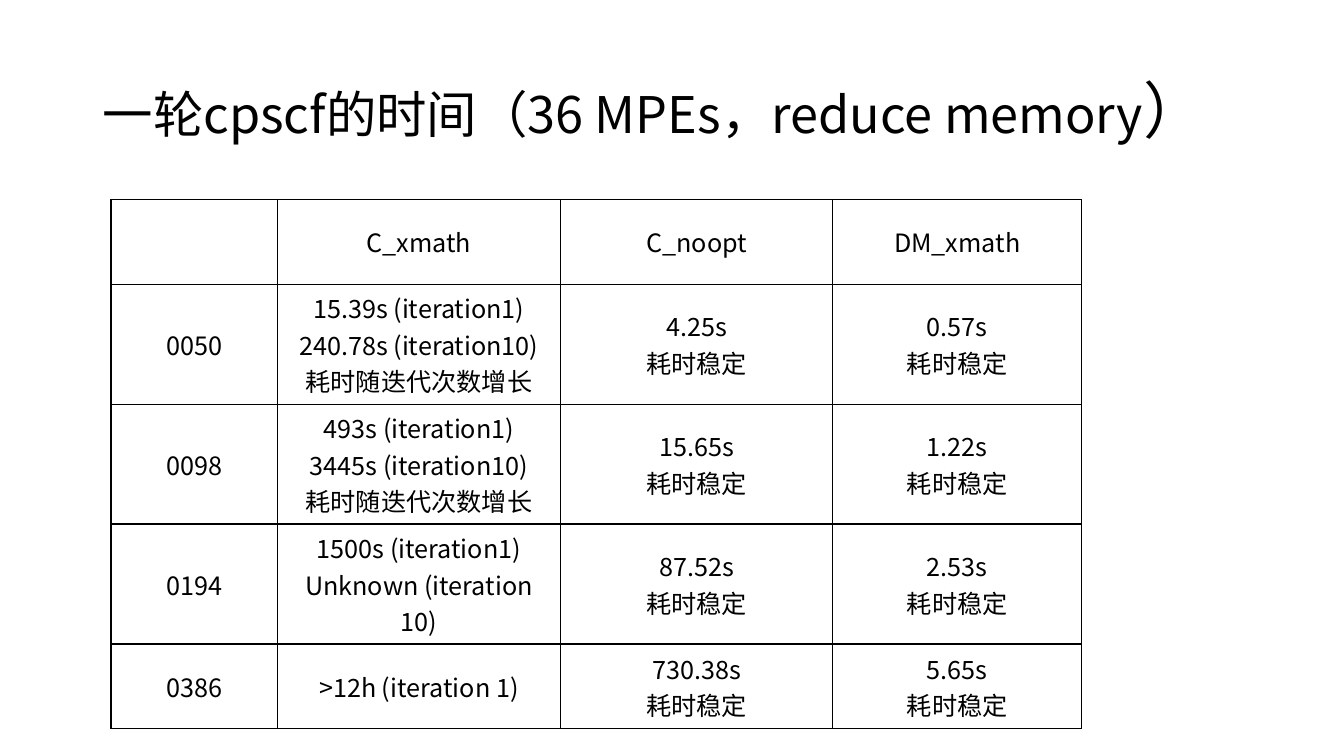
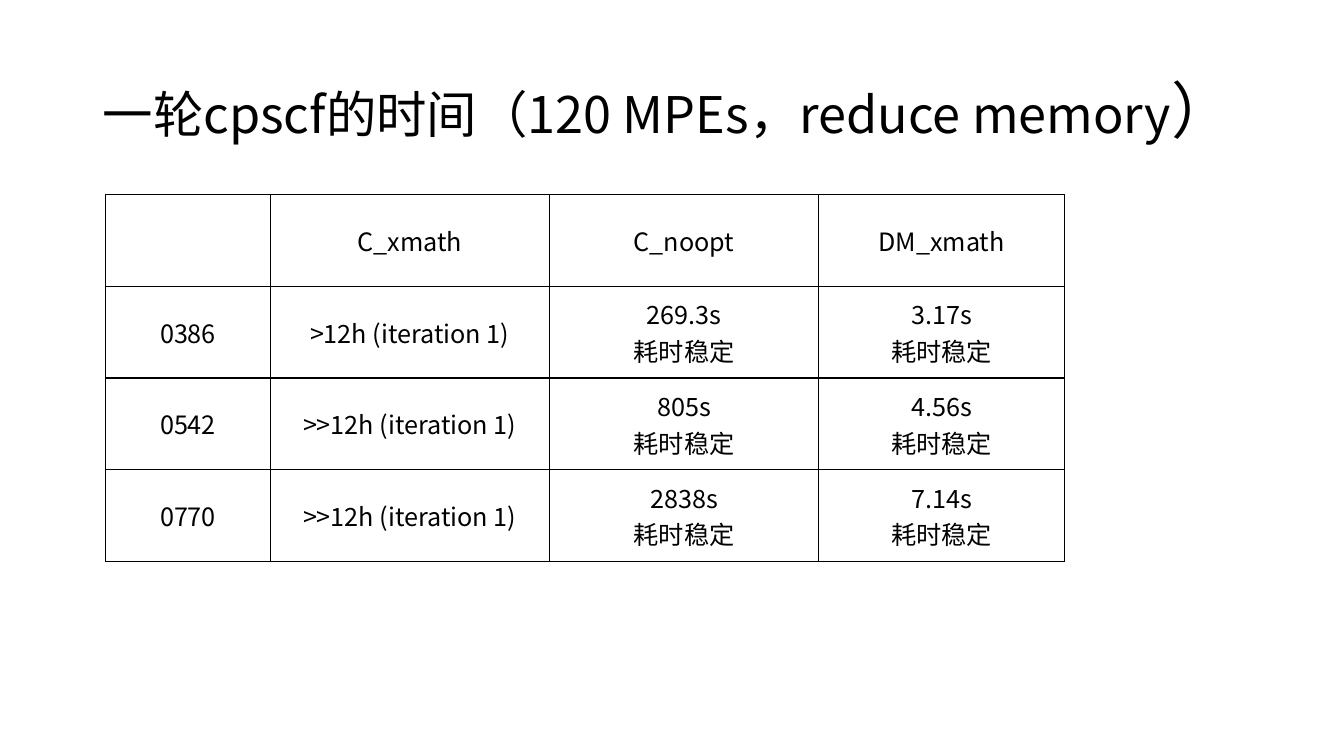
"""Build two slides that tabulate the time of one cpscf round."""
import lxml.etree
import pptx
import pptx.dml.color
import pptx.enum.text
import pptx.oxml.ns
import pptx.util

Inches, Pt, qn = pptx.util.Inches, pptx.util.Pt, pptx.oxml.ns.qn
BLACK = pptx.dml.color.RGBColor(0, 0, 0)
WHITE = pptx.dml.color.RGBColor(255, 255, 255)
FONT = "Noto Sans CJK SC"
MIDDLE = pptx.enum.text.MSO_ANCHOR.MIDDLE
CENTER = pptx.enum.text.PP_ALIGN.CENTER
STEADY = "耗时稳定"
GROWING = "耗时随迭代次数增长"
HEADINGS = ("", "C_xmath", "C_noopt", "DM_xmath")


def add_run(paragraph, text, size):
    run = paragraph.add_run()
    run.text = text
    run.font.size = Pt(size)
    run.font.name = FONT
    run.font.color.rgb = BLACK
    east_asian = lxml.etree.SubElement(run.font._element, qn("a:ea"))
    east_asian.set("typeface", FONT)


def add_borders(cell):
    properties = cell._tc.get_or_add_tcPr()
    for side in ("L", "R", "T", "B"):
        border = lxml.etree.SubElement(properties, qn("a:ln" + side), w=str(Pt(1)))
        fill = lxml.etree.SubElement(border, qn("a:solidFill"))
        lxml.etree.SubElement(fill, qn("a:srgbClr"), val=str(BLACK))


rounds = [
    {
        "processors": 36,
        "corner": (1.1, 1.98),
        "columns": (1.65, 2.81, 2.7, 2.47),
        "rows": (0.84, 1.19, 1.19, 1.19, 0.84),
        "timings": [
            ("0050", f"15.39s (iteration1)\n240.78s (iteration10)\n{GROWING}", "4.25s", "0.57s"),
            ("0098", f"493s (iteration1)\n3445s (iteration10)\n{GROWING}", "15.65s", "1.22s"),
            ("0194", "1500s (iteration1)\nUnknown (iteration 10)", "87.52s", "2.53s"),
            ("0386", ">12h (iteration 1)", "730.38s", "5.65s"),
        ],
    },
    {
        "processors": 120,
        "corner": (1.05, 1.93),
        "columns": (1.63, 2.77, 2.67, 2.44),
        "rows": (0.91,) * 4,
        "timings": [
            ("0386", ">12h (iteration 1)", "269.3s", "3.17s"),
            ("0542", ">>12h (iteration 1)", "805s", "4.56s"),
            ("0770", ">>12h (iteration 1)", "2838s", "7.14s"),
        ],
    },
]

deck = pptx.Presentation()
deck.slide_width, deck.slide_height = Inches(13.33), Inches(7.5)

for timing_round in rounds:
    slide = deck.slides.add_slide(deck.slide_layouts[6])
    slide.background.fill.solid()
    slide.background.fill.fore_color.rgb = WHITE

    title = slide.shapes.add_textbox(Inches(0.92), Inches(0.4), Inches(11.5), Inches(1.45)).text_frame
    title.word_wrap = True
    title.vertical_anchor = MIDDLE
    heading = title.paragraphs[0]
    heading.line_spacing = 0.9
    add_run(heading, f"一轮cpscf的时间（{timing_round['processors']} MPEs，reduce memory", 36)
    add_run(heading, "）", 44)

    widths, heights = timing_round["columns"], timing_round["rows"]
    left, top = timing_round["corner"]
    table = slide.shapes.add_table(
        len(heights), len(widths), Inches(left), Inches(top), Inches(sum(widths)), Inches(sum(heights))
    ).table
    table.first_row = table.horz_banding = False
    for column, width in zip(table.columns, widths):
        column.width = Inches(width)
    for row, height in zip(table.rows, heights):
        row.height = Inches(height)

    steady_timings = [
        (case, xmath, f"{noopt}\n{STEADY}", f"{dm_xmath}\n{STEADY}")
        for case, xmath, noopt, dm_xmath in timing_round["timings"]
    ]
    for row, entries in zip(table.rows, [HEADINGS] + steady_timings):
        for cell, entry in zip(row.cells, entries):
            add_borders(cell)
            cell.fill.background()
            cell.vertical_anchor = MIDDLE
            for index, line in enumerate(entry.splitlines()):
                frame = cell.text_frame
                paragraph = frame.add_paragraph() if index else frame.paragraphs[0]
                paragraph.alignment = CENTER
                add_run(paragraph, line, 18)

deck.save("out.pptx")
